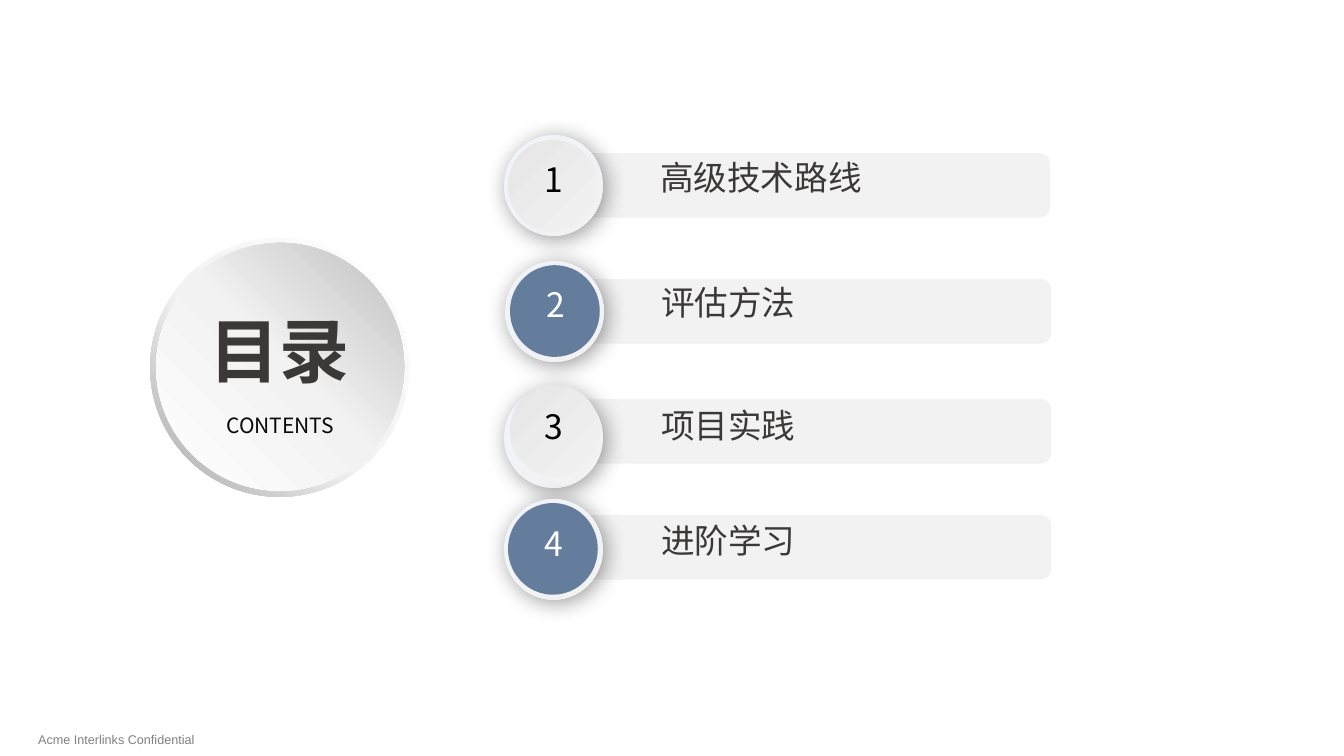
from dataclasses import dataclass

from lxml import etree
from pptx import Presentation
from pptx.dml.color import RGBColor
from pptx.enum.shapes import MSO_SHAPE as Geom
from pptx.enum.text import MSO_ANCHOR as Anchor, MSO_AUTO_SIZE as AutoSize, PP_ALIGN as Align
from pptx.oxml.ns import qn
from pptx.shapes.autoshape import Shape
from pptx.slide import Slide
from pptx.util import Pt

COLORS = {
    "white": "FFFFFF", "light": "F2F2F2", "cool": "F1F3FA", "pale": "E7E6E6",
    "silver": "BFBFBF", "gray": "A6A6A6", "footer": "808080", "blue": "657D9D",
    "dark": "3B3838", "ink": "080808", "black": "000000",
}
CJK = "Noto Sans CJK SC"


@dataclass(frozen=True)
class Box:
    left: float
    top: float
    width: float
    height: float


@dataclass(frozen=True)
class Gradient:
    stops: tuple[tuple[int, str], ...]
    angle: int


@dataclass(frozen=True)
class Style:
    size: float
    color: str
    font: str = CJK
    bold: bool = False
    align: Align = Align.CENTER
    anchor: Anchor = Anchor.TOP
    spacing: float = 0.9
    wrap: bool = True
    grow: bool = True


@dataclass(frozen=True)
class Item:
    number: str
    label: str
    bar: Box
    ring: tuple[float, float]
    disc: tuple[float, float]
    digit: Box
    label_at: tuple[float, float]
    label_width: float = 192.2


RIM = Gradient(((0, "white"), (55, "light"), (100, "gray")), 135)
FACE = Gradient(((0, "white"), (51, "light"), (100, "silver")), 315)
RING = Gradient(((0, "cool"), (100, "light")), 45)
DISC = Gradient(((0, "light"), (100, "pale")), 225)

ITEMS = [
    Item("1", "高级技术路线", Box(390.2, 109.4, 360, 46.1), (360, 96.5), (362.9, 100.1),
         Box(381.6, 113, 25.9, 38.9), (464.4, 111.6)),
    Item("2", "评估方法", Box(391, 199.4, 360, 46.1), (360.7, 186.5), (364.3, 189.4),
         Box(383, 202.3, 25.9, 38.9), (465.1, 200.9)),
    Item("3", "项目实践", Box(391, 285.1, 360, 46.1), (360, 276.5), (364.3, 275),
         Box(381.6, 289.4, 25.9, 36), (465.1, 288.7)),
    Item("4", "进阶学习", Box(391, 367.9, 360, 46.1), (360, 356.4), (362.9, 359.3),
         Box(381.6, 373, 25.9, 38.9), (465.1, 370.8), 245.5),
]


def place(sp: Shape, box: Box) -> None:
    sp.left, sp.top = Pt(box.left), Pt(box.top)
    sp.width, sp.height = Pt(box.width), Pt(box.height)


def add_color(parent: etree.ElementBase, color: str) -> etree.ElementBase:
    return etree.SubElement(parent, qn("a:srgbClr"), val=COLORS[color])


def add_gradient(sp: Shape, gradient: Gradient) -> None:
    grad = etree.Element(qn("a:gradFill"), rotWithShape="1")
    stops = etree.SubElement(grad, qn("a:gsLst"))
    for pos, color in gradient.stops:
        add_color(etree.SubElement(stops, qn("a:gs"), pos=str(pos * 1000)), color)
    etree.SubElement(grad, qn("a:lin"), ang=str(gradient.angle * 60000), scaled="0")
    sp.element.spPr.find(qn("a:prstGeom")).addnext(grad)


def add_figure(s: Slide, geom: Geom, box: Box, fill: str | Gradient) -> Shape:
    sp = s.shapes.add_shape(geom, 0, 0, 0, 0)
    place(sp, box)
    sp.shadow.inherit = False
    sp.line.fill.background()
    if isinstance(fill, Gradient):
        add_gradient(sp, fill)
    else:
        sp.fill.solid()
        sp.fill.fore_color.rgb = RGBColor.from_string(COLORS[fill])
    return sp


def add_shadow(sp: Shape) -> None:
    effects = sp.element.spPr.find(qn("a:effectLst"))
    shadow = etree.SubElement(effects, qn("a:outerShdw"), blurRad=str(Pt(16)),
                              dist=str(Pt(3)), dir=str(45 * 60000), rotWithShape="0")
    etree.SubElement(add_color(shadow, "black"), qn("a:alpha"), val="40000")


def write(sp: Shape, text: str, style: Style) -> None:
    tf = sp.text_frame
    tf.word_wrap = style.wrap
    tf.auto_size = AutoSize.SHAPE_TO_FIT_TEXT if style.grow else AutoSize.NONE
    tf.vertical_anchor = style.anchor
    p = tf.paragraphs[0]
    p.alignment = style.align
    p.line_spacing = style.spacing
    r = p.add_run()
    r.text = text
    r.font.size = Pt(style.size)
    r.font.bold = style.bold
    r.font.color.rgb = RGBColor.from_string(COLORS[style.color])
    r.font.name = style.font
    latin = r.font._element.find(qn("a:latin"))
    latin.addnext(etree.Element(qn("a:ea"), typeface=style.font))


def add_text(s: Slide, box: Box, text: str, style: Style) -> None:
    sp = s.shapes.add_textbox(0, 0, 0, 0)
    place(sp, box)
    write(sp, text, style)


def add_item(s: Slide, item: Item, highlighted: bool) -> None:
    add_figure(s, Geom.ROUNDED_RECTANGLE, item.bar, "light")
    add_shadow(add_figure(s, Geom.OVAL, Box(*item.ring, 70.6, 72), RING))
    add_figure(s, Geom.OVAL, Box(*item.disc, 64.1, 65.5), "blue" if highlighted else DISC)
    add_text(s, item.digit, item.number,
             Style(24, "white" if highlighted else "black", wrap=False))
    add_text(s, Box(*item.label_at, item.label_width, 36), item.label,
             Style(24, "dark", align=Align.LEFT))


def add_heading(s: Slide) -> None:
    rim = add_figure(s, Geom.DONUT, Box(107.3, 169.9, 185, 185), RIM)
    rim.adjustments[0] = 0.02
    add_figure(s, Geom.OVAL, Box(111.6, 173.5, 177.1, 177.1), FACE)
    title = s.shapes.title
    s.shapes._spTree.append(title.element)
    place(title, Box(131.8, 222.5, 136.1, 67.7))
    write(title, "目录", Style(50, "dark", bold=True))
    add_text(s, Box(146.2, 289.4, 108, 30.2), "CONTENTS",
             Style(15, "ink", anchor=Anchor.MIDDLE, grow=False))


def main() -> None:
    prs = Presentation()
    prs.slide_width, prs.slide_height = Pt(960), Pt(540)
    s = prs.slides.add_slide(prs.slide_layouts[5])
    add_text(s, Box(20.2, 519.1, 388.1, 26.6), "Acme Interlinks Confidential",
             Style(9, "footer", font="Arial", align=Align.LEFT, spacing=1, grow=False))
    add_heading(s)
    for i, item in enumerate(ITEMS):
        add_item(s, item, highlighted=i % 2 == 1)
    prs.save("out.pptx")


if __name__ == "__main__":
    main()
